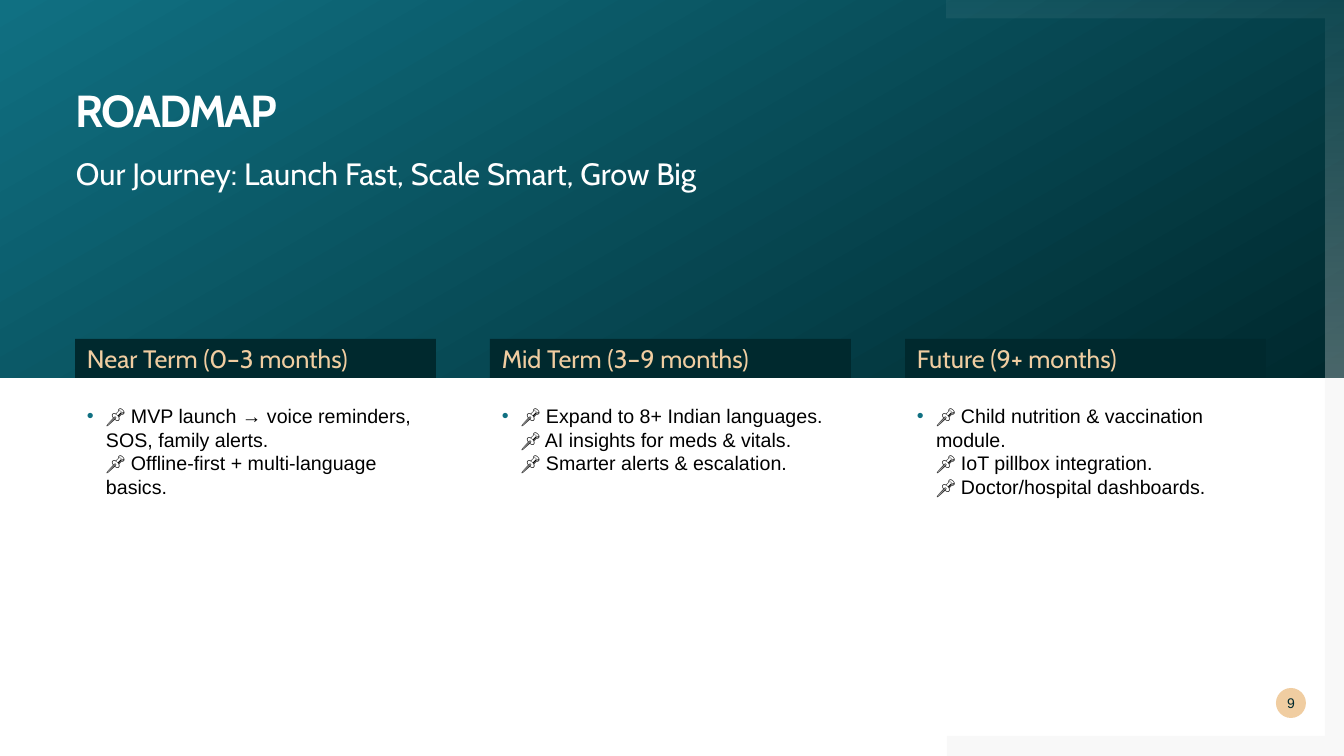
from copy import deepcopy

from lxml import etree
from pptx import Presentation
from pptx import util as u
from pptx.dml.color import RGBColor
from pptx.enum import shapes, text
from pptx.oxml.ns import qn

PX = 914400 / 100.8
W, H, BAND_H = 1344, 756, 378
FRAME_X, FRAME_W = 947, 19
COL_X, COL_STEP, COL_W = 75, 415, 361

WHITE = RGBColor(0xFF, 0xFF, 0xFF)
BLACK = RGBColor(0x00, 0x00, 0x00)
GREY = RGBColor(0x80, 0x80, 0x80)
DARK = RGBColor(0x00, 0x29, 0x2E)
TEAL = RGBColor(0x10, 0x70, 0x82)
SAND = RGBColor(0xF0, 0xCD, 0xA1)

TERMS = [
    ("Near Term (0–3 months)",
     ["MVP launch → voice reminders, SOS, family alerts.",
      "Offline-first + multi-language basics."]),
    ("Mid Term (3–9 months)",
     ["Expand to 8+ Indian languages.",
      "AI insights for meds & vitals.",
      "Smarter alerts & escalation."]),
    ("Future (9+ months)",
     ["Child nutrition & vaccination module.",
      "IoT pillbox integration.",
      "Doctor/hospital dashboards."]),
]


def add_block(kind, x, y, w, h, fill=None):
    """Add a preset shape, or a text box if kind is None."""
    box = [round(v * PX) for v in (x, y, w, h)]
    if kind is None:
        return s.shapes.add_textbox(*box)
    sp = s.shapes.add_shape(kind, *box)
    sp.shadow.inherit = False
    sp.line.fill.background()
    if fill is not None:
        sp.fill.solid()
        sp.fill.fore_color.rgb = fill
    return sp


def write(sp, words, size, color, name="Cabin", inset=0, anchor="TOP",
          align="LEFT", bold=False):
    """Fill a shape with one paragraph and return that paragraph."""
    tf = sp.text_frame
    frame = {"word_wrap": True, "margin_left": round(inset * PX),
             "margin_top": 0, "margin_right": 0, "margin_bottom": 0,
             "vertical_anchor": text.MSO_ANCHOR[anchor]}
    for key, value in frame.items():
        setattr(tf, key, value)
    p = tf.paragraphs[0]
    p.text = words
    p.alignment = text.PP_ALIGN[align]
    for r in p.runs:
        for key, value in {"name": name, "size": u.Pt(size), "bold": bold}.items():
            setattr(r.font, key, value)
        r.font.color.rgb = color
    return p


prs = Presentation()
prs.slide_width, prs.slide_height = round(W * PX), round(H * PX)
s = prs.slides.add_slide(prs.slide_layouts[6])

# Frame corners: grey at the bottom right, translucent white over the band
inner = W - FRAME_W
corners = []
for edge, middle, inside in [(H, BAND_H, H - FRAME_W - 1), (0, BAND_H, FRAME_W)]:
    builder = s.shapes.build_freeform(FRAME_X, edge, scale=PX)
    builder.add_line_segments([(W, edge), (W, middle), (inner, middle),
                               (inner, inside), (FRAME_X, inside)])
    sp = builder.convert_to_shape()
    sp.shadow.inherit = False
    sp.line.fill.background()
    corners.append(sp)
    if edge == H:
        band = add_block(shapes.MSO_SHAPE.RECTANGLE, 0, 0, W, BAND_H)

lower, upper = corners
lower.fill.solid()
lower.fill.fore_color.rgb = GREY
for sp, angle, colors in [(band, 120, (DARK, TEAL)), (upper, 270, (WHITE, WHITE))]:
    sp.fill.gradient()
    sp.fill.gradient_angle = angle
    for stop, color in zip(sp.fill.gradient_stops, colors):
        stop.color.rgb = color
for sp, alphas in [(lower, (5,)), (upper, (5, 30))]:
    for clr, alpha in zip(sp._element.spPr.iter(qn("a:srgbClr")), alphas):
        etree.SubElement(clr, qn("a:alpha"), val=str(alpha * 1000))

# Headings
p = write(add_block(None, 76, 89, 834, 40), "ROADMAP", 32, WHITE, bold=True)
p.line_spacing = 0.9
p.runs[0].font._element.set("spc", "-150")
write(add_block(None, 76, 155, 834, 39),
      "Our Journey: Launch Fast, Scale Smart, Grow Big", 22, WHITE)

# One column per term
for i, (term, goals) in enumerate(TERMS):
    x = COL_X + i * COL_STEP
    bar = add_block(shapes.MSO_SHAPE.RECTANGLE, x, 339, COL_W, 39, DARK)
    write(bar, term, 18, SAND, inset=12, anchor="MIDDLE")

    p = write(add_block(None, x, 404, COL_W, 247),
              "\v".join(f"📌 {goal}" for goal in goals), 14, BLACK,
              name="Arial", inset=12)
    p.space_after = u.Pt(10)
    for br in p._p.findall(qn("a:br")):
        br.insert(0, deepcopy(p.runs[0].font._element))
    pPr = p._p.get_or_add_pPr()
    indent = round(19 * PX)
    pPr.set("marL", str(indent))
    pPr.set("indent", str(-indent))
    bullet_color = etree.SubElement(pPr, qn("a:buClr"))
    etree.SubElement(bullet_color, qn("a:srgbClr"), val=str(TEAL))
    etree.SubElement(pPr, qn("a:buFont"), typeface="Arial")
    etree.SubElement(pPr, qn("a:buChar"), char="•")

# Page number
badge = add_block(shapes.MSO_SHAPE.OVAL, 1276, 688, 30, 30, SAND)
write(badge, "9", 10, DARK, name="Arial", anchor="MIDDLE", align="CENTER")

prs.save("out.pptx")
